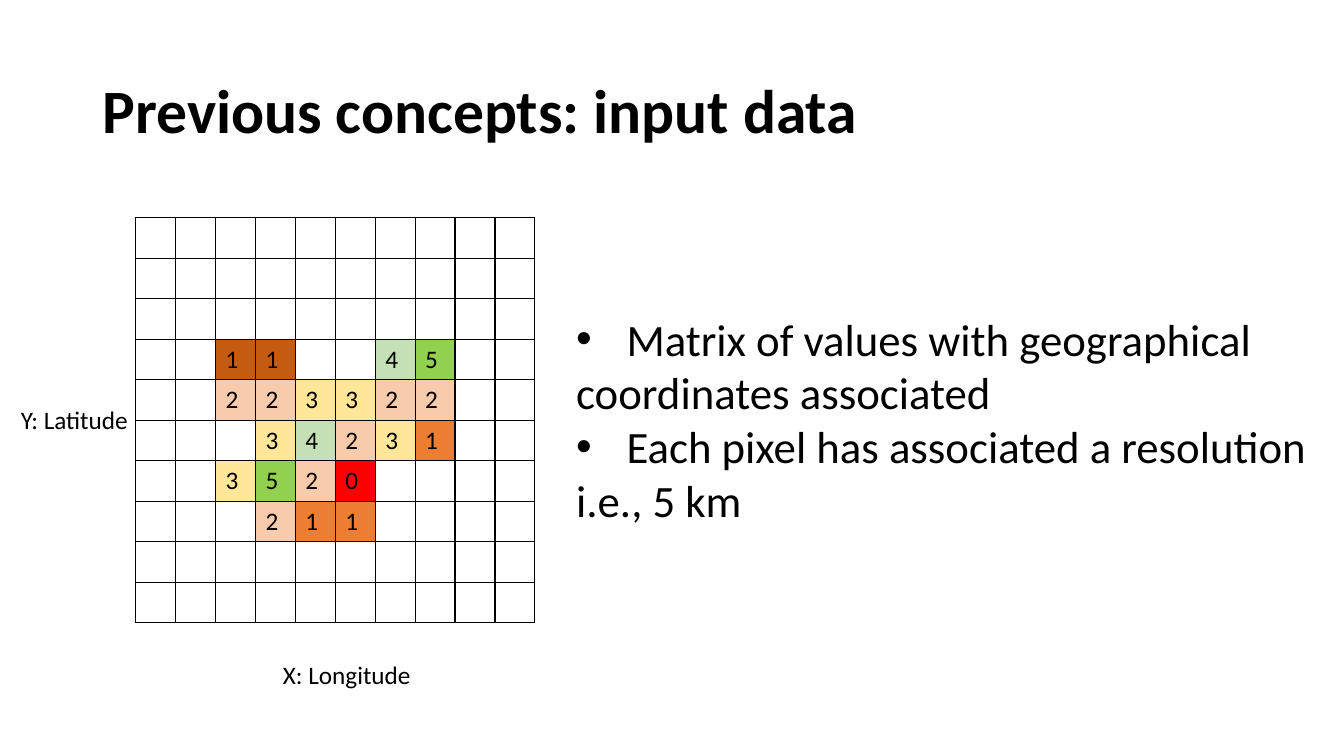
"""Build the slide on raster input data: a value matrix, its axes and two notes."""
from lxml.etree import SubElement
from pptx import Presentation
from pptx.dml.color import RGBColor
from pptx.enum.text import MSO_ANCHOR as Anchor
from pptx.oxml.ns import qn
from pptx.util import Cm, Pt

BLACK = RGBColor(0x00, 0x00, 0x00)
RED = RGBColor(0xFF, 0x00, 0x00)
BROWN = RGBColor(0xC5, 0x5A, 0x11)
ORANGE = RGBColor(0xED, 0x7D, 0x31)
PEACH = RGBColor(0xF8, 0xCB, 0xAD)
YELLOW = RGBColor(0xFF, 0xE6, 0x99)
PALE_GREEN = RGBColor(0xC5, 0xE0, 0xB4)
GREEN = RGBColor(0x92, 0xD0, 0x50)

MATRIX = [
    "..........",
    "..........",
    "..........",
    "..BB..45..",
    "..223322..",
    "...34231..",
    "..3520....",
    "...211....",
    "..........",
    "..........",
]
PIXELS = {
    "0": ("0", RED), "1": ("1", ORANGE), "B": ("1", BROWN), "2": ("2", PEACH),
    "3": ("3", YELLOW), "4": ("4", PALE_GREEN), "5": ("5", GREEN),
}
GRID_SIZE = Cm(10.06)
ROW_HEIGHT = Cm(1.02)
BULLET_INDENT = Cm(1.27)


def write(para, text, **formats):
    """Add one black Calibri run to a paragraph."""
    span = para.add_run()
    span.text = text
    for name, value in {"name": "Calibri", **formats}.items():
        setattr(span.font, name, value)
    span.font.color.rgb = BLACK


def add_box(left, top, width, height, wrap=False):
    """Add a text box and return its text frame."""
    box = page.shapes.add_textbox(Cm(left), Cm(top), Cm(width), Cm(height))
    box.text_frame.word_wrap = wrap
    return box.text_frame


deck = Presentation()
deck.slide_width, deck.slide_height = Cm(33.87), Cm(19.05)
page = deck.slides.add_slide(deck.slide_layouts[6])

title = add_box(2.33, 1.01, 29.21, 3.68, wrap=True)
title.vertical_anchor = Anchor.MIDDLE
title.paragraphs[0].line_spacing = 0.9
write(title.paragraphs[0], "Previous concepts: input data", size=Pt(44), bold=True)

count = len(MATRIX)
table = page.shapes.add_table(
    count, count, Cm(3.42), Cm(5.49), GRID_SIZE, ROW_HEIGHT * count).table
table.first_row = table.horz_banding = False
for column in table.columns:
    column.width = GRID_SIZE // count
for row, symbols in zip(table.rows, MATRIX):
    row.height = ROW_HEIGHT
    for cell, symbol in zip(row.cells, symbols):
        properties = cell._tc.get_or_add_tcPr()
        for side in ("lnL", "lnR", "lnT", "lnB"):
            border = SubElement(properties, qn(f"a:{side}"), w=str(Pt(1)))
            fill = SubElement(border, qn("a:solidFill"))
            SubElement(fill, qn("a:srgbClr"), val=str(BLACK))
        if symbol in PIXELS:
            value, color = PIXELS[symbol]
            cell.fill.solid()
            cell.fill.fore_color.rgb = color
            write(cell.text_frame.paragraphs[0], value, size=Pt(18))
        else:
            cell.fill.background()

for label, place in [
    ("X: Longitude", (6.88, 16.48, 3.78, 1.02)),
    ("Y: Latitude", (0.28, 10.06, 3.25, 1.02)),
]:
    write(add_box(*place).paragraphs[0], label, size=Pt(18))

notes = add_box(14.27, 7.72, 19.13, 5.74)
for index, (line, bulleted) in enumerate([
    ("Matrix of values with geographical", True),
    ("coordinates associated", False),
    ("Each pixel has associated a resolution", True),
    ("i.e., 5 km", False),
]):
    para = notes.add_paragraph() if index else notes.paragraphs[0]
    write(para, line, size=Pt(32))
    if bulleted:
        properties = para._p.get_or_add_pPr()
        properties.set("marL", str(BULLET_INDENT))
        properties.set("indent", str(-BULLET_INDENT))
        SubElement(properties, qn("a:buFont"), typeface="Arial")
        SubElement(properties, qn("a:buChar"), char="•")

deck.save("out.pptx")
